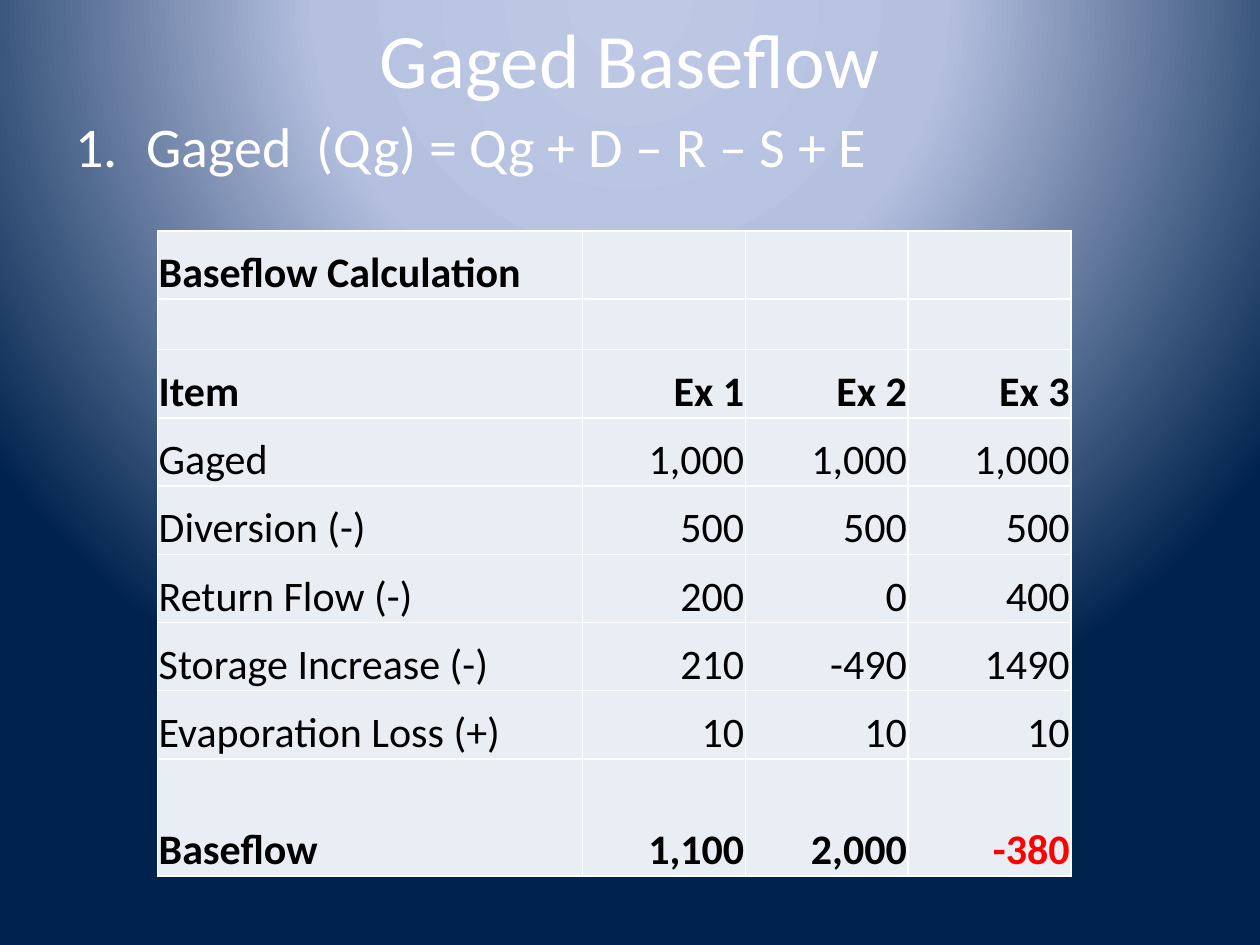
import pptx
import pptx.dml.color
import pptx.enum.text
import pptx.oxml
import pptx.oxml.ns
import pptx.util
from dataclasses import dataclass
from lxml import etree

Pt = pptx.util.Pt
ALIGN = pptx.enum.text.PP_ALIGN
ANCHOR = pptx.enum.text.MSO_ANCHOR


@dataclass(frozen=True)
class Theme:
    font: str = "Calibri"
    light: str = "FFFFFF"
    dark: str = "000000"
    negative: str = "FF0000"
    cell: str = "E9EDF4"
    glow: tuple = ((0, "BFC9E5"), (40, "B5C0E0"), (100, "00234D"))
    title_size: int = 44
    formula_size: int = 32
    table_size: int = 24


THEME = Theme()

COLUMN_WIDTHS = [243, 93, 93, 93]
ROW_HEIGHTS = [39, 21] + [39] * 6 + [67]
BOLD_ITEMS = {"Baseflow Calculation", "Item", "Baseflow"}
BASEFLOW_ROWS = [
    ["Baseflow Calculation", "", "", ""],
    ["", "", "", ""],
    ["Item", "Ex 1", "Ex 2", "Ex 3"],
    ["Gaged", "1,000", "1,000", "1,000"],
    ["Diversion (-)", "500", "500", "500"],
    ["Return Flow (-)", "200", "0", "400"],
    ["Storage Increase (-)", "210", "-490", "1490"],
    ["Evaporation Loss (+)", "10", "10", "10"],
    ["Baseflow", "1,100", "2,000", "-380"],
]


def apply_format(target, values):
    for name, value in values.items():
        setattr(target, name, value)


def rgb(color):
    return pptx.dml.color.RGBColor.from_string(color)


def add_xml(parent, tag, **attributes):
    return etree.SubElement(parent, pptx.oxml.ns.qn(tag), attributes)


def write_text(paragraph, text, size, color, bold=False, align=ALIGN.LEFT):
    paragraph.alignment = align
    run = paragraph.add_run()
    run.text = text
    apply_format(run.font, {"name": THEME.font, "size": Pt(size), "bold": bold})
    run.font.color.rgb = rgb(color)


def paint_background(slide):
    """Radial glow centred above the top edge."""
    slide.background.fill.gradient()
    glow = slide.element.find(".//" + pptx.oxml.ns.qn("a:gradFill"))
    for child in list(glow):
        glow.remove(child)
    stops = add_xml(glow, "a:gsLst")
    for position, color in THEME.glow:
        stop = add_xml(stops, "a:gs", pos=str(position * 1000))
        add_xml(stop, "a:srgbClr", val=color)
    circle = add_xml(glow, "a:path", path="circle")
    add_xml(circle, "a:fillToRect", l="50000", t="-80000", r="50000", b="180000")


def place_title(slide, text):
    title = slide.shapes.title
    apply_format(title, {"left": Pt(36), "top": Pt(0),
                         "width": Pt(648), "height": Pt(66)})
    apply_format(title.text_frame, {"vertical_anchor": ANCHOR.MIDDLE,
                                    "auto_size": pptx.enum.text.MSO_AUTO_SIZE.NONE})
    write_text(title.text_frame.paragraphs[0], text, THEME.title_size,
               THEME.light, align=ALIGN.CENTER)


def add_numbered_formula(slide, text):
    frame = slide.shapes.add_textbox(Pt(36), Pt(60), Pt(648), Pt(422)).text_frame
    frame.word_wrap = True
    formula = frame.paragraphs[0]
    write_text(formula, text, THEME.formula_size, THEME.light)
    formula.space_before = Pt(6.4)
    properties = formula._p.get_or_add_pPr()
    indent = Pt(40.5)
    properties.set("marL", str(indent))
    properties.set("indent", str(-indent))
    add_xml(properties, "a:buFont", typeface="+mj-lt")
    add_xml(properties, "a:buAutoNum", type="arabicPeriod")


def style_cell(cell):
    cell.fill.solid()
    cell.fill.fore_color.rgb = rgb(THEME.cell)
    properties = cell._tc.get_or_add_tcPr()
    for index, side in enumerate(("a:lnL", "a:lnR", "a:lnT", "a:lnB")):
        border = add_xml(properties, side, w=str(Pt(1)))
        add_xml(add_xml(border, "a:solidFill"), "a:srgbClr", val=THEME.light)
        properties.insert(index, border)  # borders come before the fill


def fill_cell(cell, text, bold, is_label):
    apply_format(cell, {"vertical_anchor": ANCHOR.BOTTOM,
                        "margin_left": Pt(0.72), "margin_right": Pt(0.72),
                        "margin_top": Pt(0.72), "margin_bottom": Pt(0)})
    is_negative_total = bold and text.startswith("-")
    write_text(cell.text_frame.paragraphs[0], text, THEME.table_size,
               THEME.negative if is_negative_total else THEME.dark,
               bold, ALIGN.LEFT if is_label else ALIGN.RIGHT)


def add_baseflow_table(slide):
    baseflow = slide.shapes.add_table(
        len(ROW_HEIGHTS), len(COLUMN_WIDTHS), Pt(90), Pt(132),
        Pt(sum(COLUMN_WIDTHS)), Pt(sum(ROW_HEIGHTS))).table
    apply_format(baseflow, {"first_row": False, "horz_banding": False})
    for column, width in zip(baseflow.columns, COLUMN_WIDTHS):
        column.width = Pt(width)
    for row, height, values in zip(baseflow.rows, ROW_HEIGHTS, BASEFLOW_ROWS):
        row.height = Pt(height)
        for index, (cell, text) in enumerate(zip(row.cells, values)):
            style_cell(cell)
            if text:
                fill_cell(cell, text, values[0] in BOLD_ITEMS, index == 0)


def main():
    presentation = pptx.Presentation()
    apply_format(presentation, {"slide_width": Pt(720), "slide_height": Pt(540)})
    slide = presentation.slides.add_slide(presentation.slide_layouts[5])

    # Background and heading
    paint_background(slide)
    place_title(slide, "Gaged Baseflow")

    # Formula and worked examples
    add_numbered_formula(slide, "Gaged  (Qg) = Qg + D – R – S + E")
    add_baseflow_table(slide)

    presentation.save("out.pptx")


if __name__ == "__main__":
    main()
